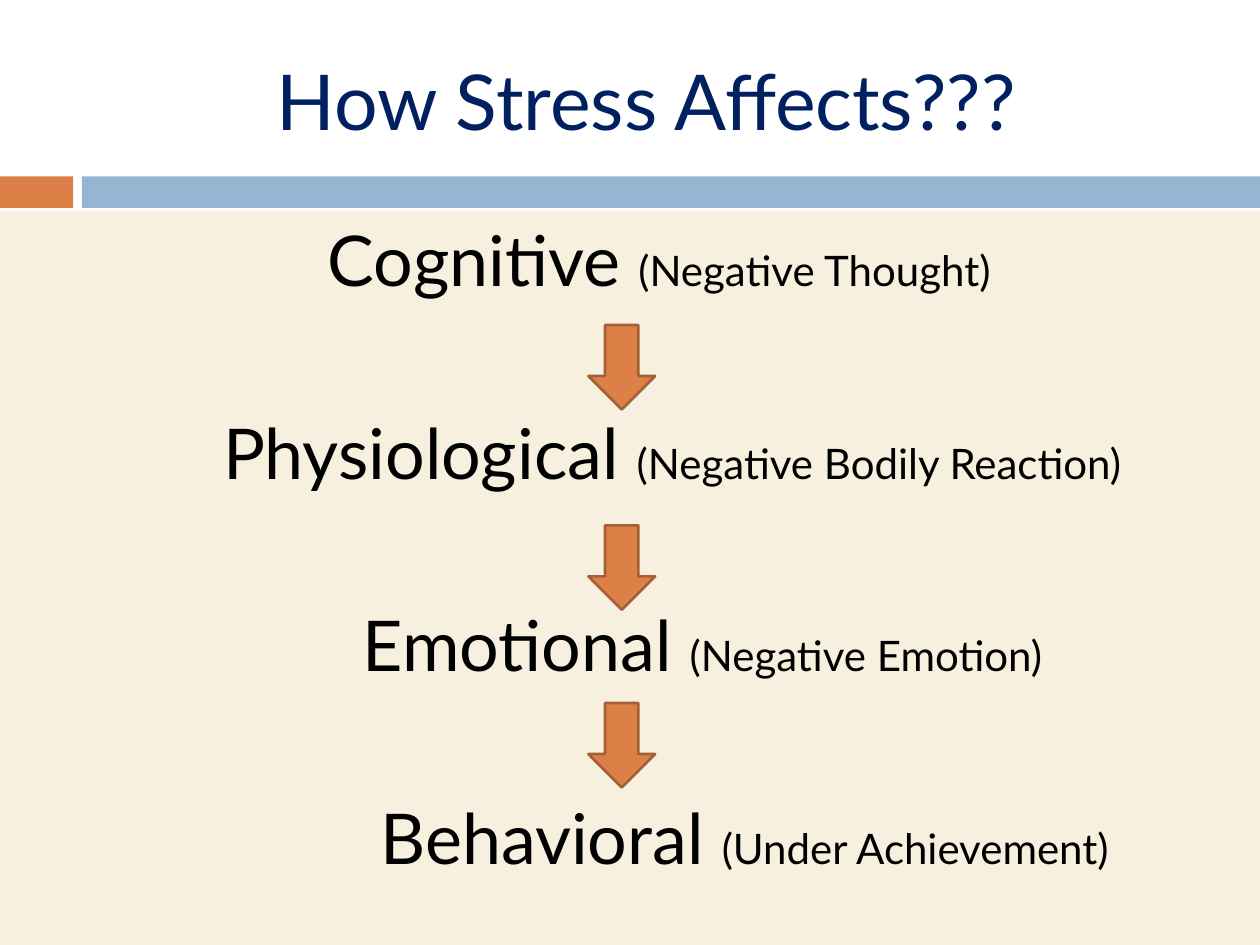
from lxml import etree
from pptx import Presentation
from pptx.dml.color import RGBColor
from pptx.enum.shapes import MSO_SHAPE as Shape
from pptx.enum.text import MSO_ANCHOR as Anchor, MSO_AUTO_SIZE as AutoSize, PP_ALIGN as Align
from pptx.oxml.ns import qn
from pptx.util import Inches, Pt

COLORS = {
    "orange": "DD8047",
    "orange_edge": "A35F35",
    "blue": "94B6D2",
    "cream": "F7F0DE",
    "navy": "002060",
    "black": "000000",
}
# Heading, explanation, left indent in inches
STAGES = [
    ("Cognitive ", "(Negative Thought)", 2.5),
    ("Physiological ", "(Negative Bodily Reaction)", 1.67),
    ("Emotional ", "(Negative Emotion)", 2.78),
    ("Behavioral ", "(Under Achievement)", 2.92),
]
ARROW_TOPS = [2.58, 4.17, 5.58]


class StressPage:
    font = "Lato"

    def __init__(self, deck):
        self.page = deck.slides.add_slide(deck.slide_layouts[1])

    def color(self, name):
        return RGBColor.from_string(COLORS[name])

    def place(self, box, left, top, width, height):
        box.left, box.top = Inches(left), Inches(top)
        box.width, box.height = Inches(width), Inches(height)

    def style(self, span, size, color):
        span.font.name = self.font
        span.font.size = Pt(size)
        span.font.color.rgb = self.color(color)

    def title(self, text, *bounds):
        box = self.page.shapes.title
        self.place(box, *bounds)
        frame = box.text_frame
        frame.text = text
        frame.auto_size = AutoSize.NONE
        frame.vertical_anchor = Anchor.MIDDLE
        para = frame.paragraphs[0]
        para.alignment = Align.CENTER
        self.style(para.runs[0], 44, "navy")

    def stages(self, stages, *bounds):
        box = self.page.placeholders[1]
        self.place(box, *bounds)
        box.fill.solid()
        box.fill.fore_color.rgb = self.color("cream")
        frame = box.text_frame
        frame.text = "\n".join(heading + note for heading, note, _ in stages)
        frame.auto_size = AutoSize.NONE
        frame.vertical_anchor = Anchor.TOP
        for para, (heading, note, indent) in zip(frame.paragraphs, stages):
            para.alignment = Align.LEFT
            para.space_before = Pt(62)
            self.indent_without_bullet(para, indent)
            para.runs[0].text = heading
            para.add_run().text = note
            for span, size in zip(para.runs, (40, 24)):
                self.style(span, size, "black")
        frame.paragraphs[0].space_before = Pt(0)

    def indent_without_bullet(self, para, indent):
        properties = para._p.get_or_add_pPr()
        properties.set("marL", str(Inches(indent)))
        properties.set("indent", "0")
        etree.SubElement(properties, qn("a:buNone"))

    def shape(self, kind, fill, *bounds, edge=None):
        shape = self.page.shapes.add_shape(kind, *map(Inches, bounds))
        shape.shadow.inherit = False
        shape.fill.solid()
        shape.fill.fore_color.rgb = self.color(fill)
        if edge:
            shape.line.color.rgb = self.color(edge)
            shape.line.width = Pt(1.5)
        else:
            shape.line.fill.background()


def main():
    deck = Presentation()
    deck.slide_width, deck.slide_height = Inches(10), Inches(7.5)
    page = StressPage(deck)
    page.title("How Stress Affects???", 0.67, 0.25, 8.92, 1.08)
    page.stages(STAGES, 0, 1.67, 10, 5.83)
    page.shape(Shape.RECTANGLE, "orange", 0, 1.4, 0.58, 0.25)
    page.shape(Shape.RECTANGLE, "blue", 0.65, 1.4, 9.35, 0.25)
    for top in ARROW_TOPS:
        page.shape(Shape.DOWN_ARROW, "orange", 4.67, top, 0.53, 0.67, edge="orange_edge")
    deck.save("out.pptx")


if __name__ == "__main__":
    main()
